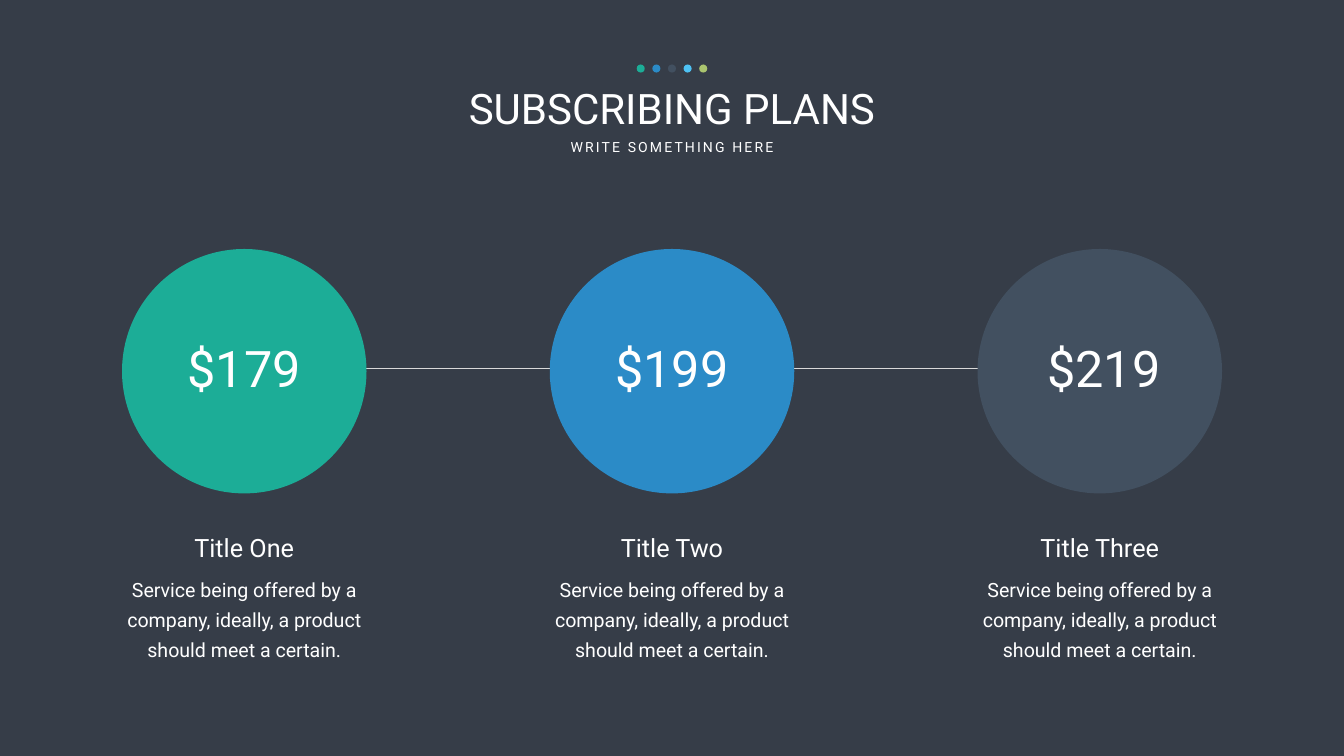
"""Build the subscribing plans slide: three priced circles joined by a line."""
from lxml.etree import SubElement
from pptx import Presentation
from pptx.dml.color import RGBColor
from pptx.enum.shapes import MSO_CONNECTOR, MSO_SHAPE
from pptx.enum.text import MSO_AUTO_SIZE as AutoSize, PP_ALIGN as Align
from pptx.oxml.ns import qn
from pptx.util import Inches, Pt

COLORS = {
    "background": "363D48", "text": "FFFFFF", "line": "D9D9D9",
    "green": "1CAD97", "blue": "2B8BC7", "slate": "425060",
    "sky": "4EC2F4", "lime": "AAC46F",
}
FONT = "Roboto"
HEADING = "SUBSCRIBING PLANS"
SUBHEADING = "WRITE SOMETHING HERE"
SERVICE = "Service being offered by a company, ideally, a product should meet a certain."
PLANS = [
    {"title": "Title One", "price": "$179", "color": "green", "price_shift": 0},
    {"title": "Title Two", "price": "$199", "color": "blue", "price_shift": 0},
    {"title": "Title Three", "price": "$219", "color": "slate", "price_shift": 0.08},
]
DOTS = ["green", "blue", "slate", "sky", "lime"]

WIDTH, HEIGHT = 26.66, 15
MIDDLE = WIDTH / 2
PLAN_PITCH, PLAN_SIZE, PLAN_TOP = 8.485, 4.85, 4.94
DOT_PITCH, DOT_SIZE, DOT_TOP = 0.31, 0.16, 1.28
CAPTION_WIDTH, TITLE_TOP, SERVICE_TOP = 5.67, 10.51, 11.21
LINE_Y = 7.3


def color(name):
    return RGBColor.from_string(COLORS[name])


def centers(count, pitch):
    return [MIDDLE + (i - (count - 1) / 2) * pitch for i in range(count)]


def add_circle(shapes, center, top, size, fill):
    circle = shapes.add_shape(MSO_SHAPE.OVAL, Inches(center - size / 2),
                              Inches(top), Inches(size), Inches(size))
    circle.shadow.inherit = False
    circle.fill.solid()
    circle.fill.fore_color.rgb = color(fill)
    circle.line.fill.background()


def add_text(shapes, text, center, top, width, height, size,
             insets=(0.1, 0.05), line_spacing=None, tracking=None, wrap=True):
    box = shapes.add_textbox(Inches(center - width / 2), Inches(top),
                             Inches(width), Inches(height))
    frame = box.text_frame
    frame.word_wrap = wrap
    frame.auto_size = AutoSize.SHAPE_TO_FIT_TEXT
    frame.margin_left = frame.margin_right = Inches(insets[0])
    frame.margin_top = frame.margin_bottom = Inches(insets[1])
    paragraph = frame.paragraphs[0]
    paragraph.alignment = Align.CENTER
    if line_spacing:
        paragraph.line_spacing = Pt(line_spacing)
    run = paragraph.add_run()
    run.text = text
    run.font.name = FONT
    run.font.size = Pt(size)
    run.font.color.rgb = color("text")
    if tracking:
        run.font._element.set("spc", str(tracking * 100))


def add_joining_line(shapes, start, end):
    line = shapes.add_connector(MSO_CONNECTOR.STRAIGHT, Inches(start), Inches(LINE_Y),
                                Inches(end), Inches(LINE_Y))
    line.line.color.rgb = color("line")
    line.line.width = Pt(0.5)
    SubElement(line._element.spPr, qn("a:effectLst"))


def main():
    deck = Presentation()
    deck.slide_width, deck.slide_height = Inches(WIDTH), Inches(HEIGHT)
    slide = deck.slides.add_slide(deck.slide_layouts[6])
    slide.background.fill.solid()
    slide.background.fill.fore_color.rgb = color("background")
    shapes = slide.shapes
    columns = list(zip(PLANS, centers(len(PLANS), PLAN_PITCH)))

    add_joining_line(shapes, 4.06, 22.12)
    for plan, center in columns:
        caption = shapes.add_group_shape().shapes
        add_text(caption, SERVICE, center, SERVICE_TOP, CAPTION_WIDTH, 2, 28,
                 insets=(0.24, 0.12), line_spacing=43)
        add_text(caption, plan["title"], center, TITLE_TOP, CAPTION_WIDTH, 0.71, 36)
    for plan, center in columns:
        add_circle(shapes, center, PLAN_TOP, PLAN_SIZE, plan["color"])

    add_text(shapes, HEADING, MIDDLE, 1.59, 11.25, 1.11, 60)
    add_text(shapes, SUBHEADING, MIDDLE, 2.7, 4.35, 0.44, 20, tracking=3, wrap=False)
    dots = shapes.add_group_shape().shapes
    for fill, center in zip(DOTS, centers(len(DOTS), DOT_PITCH)):
        add_circle(dots, center, DOT_TOP, DOT_SIZE, fill)

    for plan, center in columns:
        add_text(shapes, plan["price"], center + plan["price_shift"], 6.64, 3.07, 1.31, 72)
    deck.save("out.pptx")


if __name__ == "__main__":
    main()
